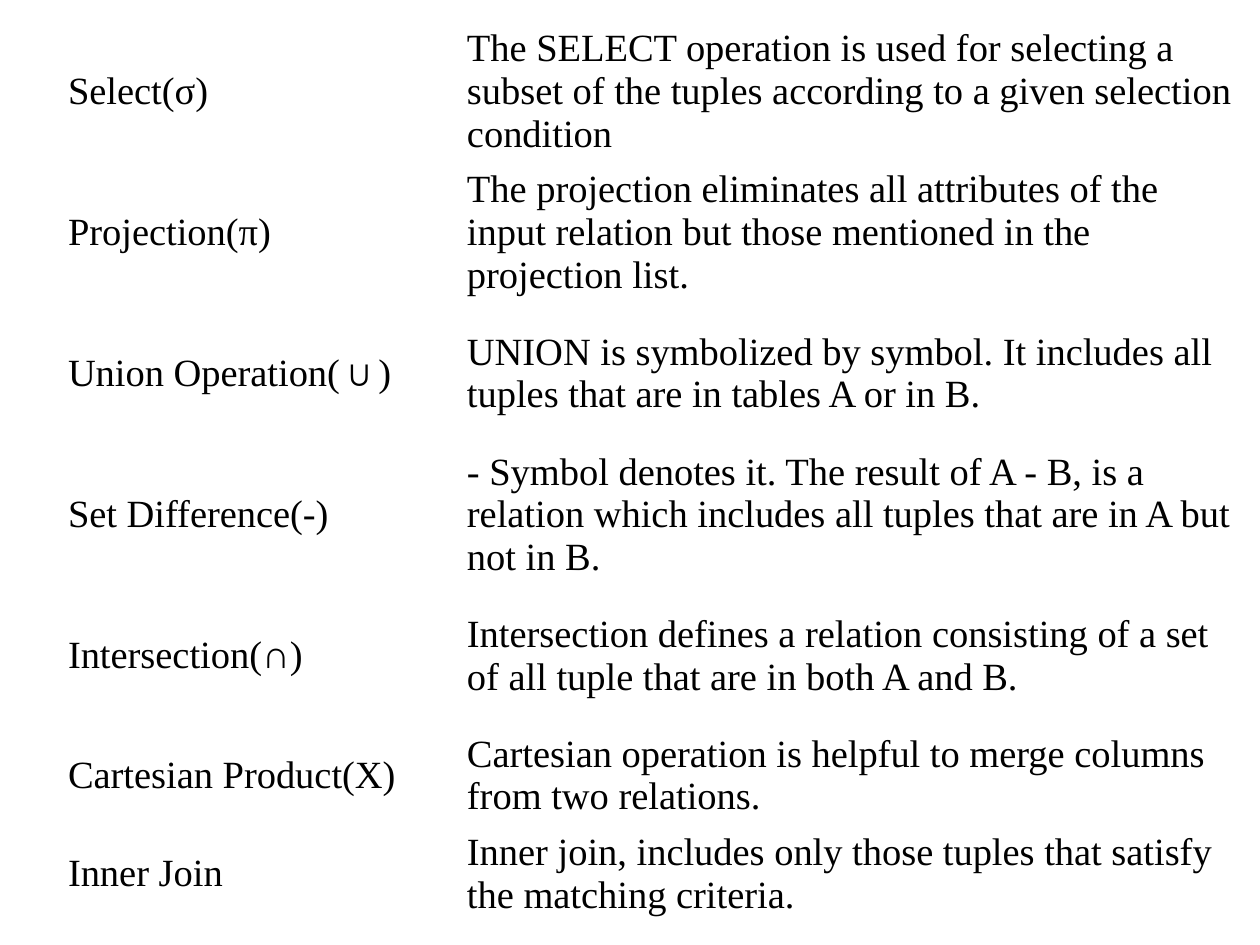
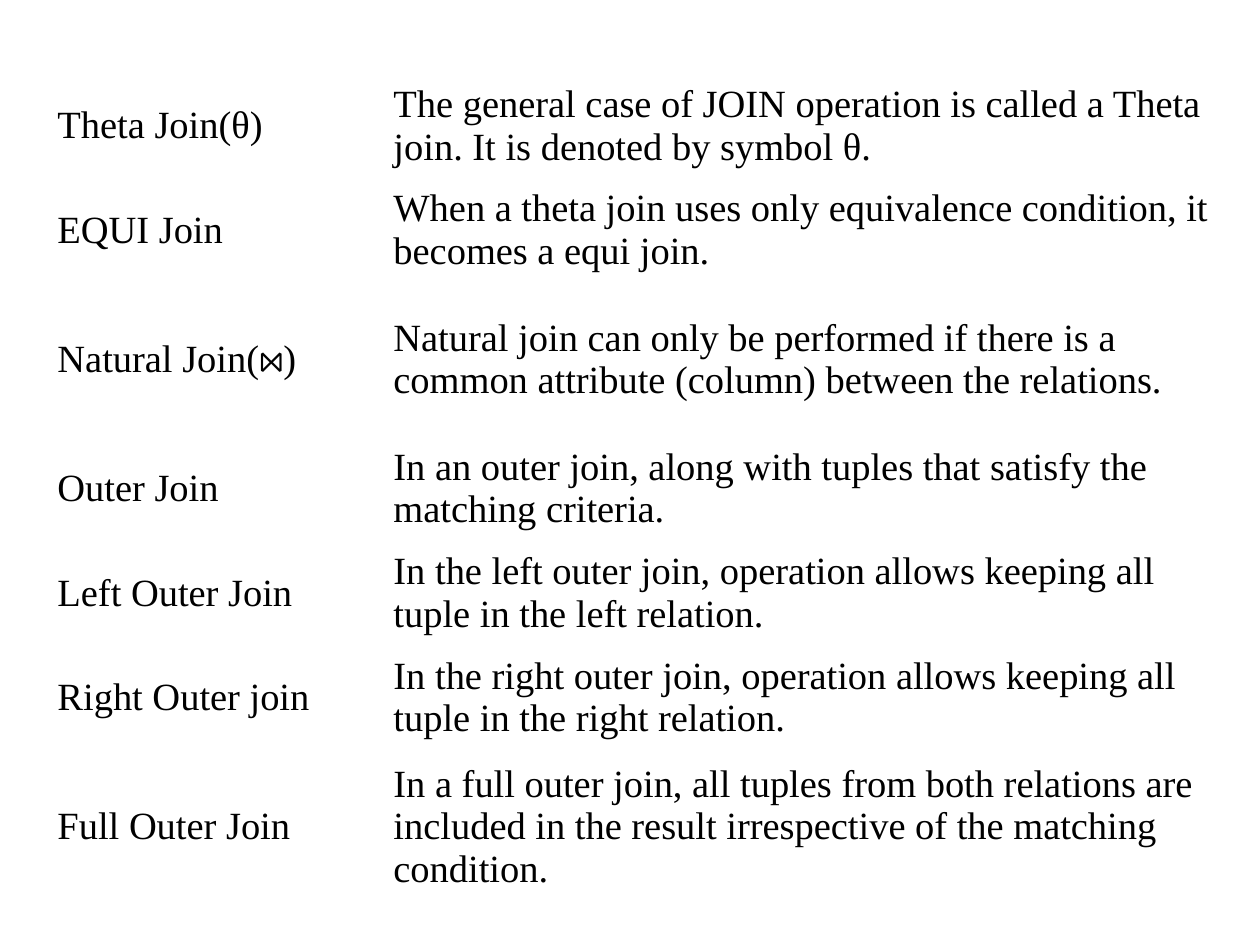
from pptx import Presentation
from pptx.dml.color import RGBColor
from pptx.enum.text import MSO_ANCHOR
from pptx.util import Inches, Pt

BLACK = RGBColor(0, 0, 0)
MIDDLE = MSO_ANCHOR.MIDDLE
FONT = "Times New Roman"
SIZE = Pt(22)
UNIT = Inches(1) // 12  # grid step: twelve columns to the inch
PAD_X, PAD_Y = Inches(0.04), Inches(0.02)

# Each row: name, meaning, height in inches
BASIC = [
    ("Select(σ)", "The SELECT operation is used for selecting a subset of the "
     "tuples according to a given selection condition", 1.12),
    ("Projection(π)", "The projection eliminates all attributes of the input "
     "relation but those mentioned in the projection list.", 1.12),
    ("Union Operation(∪)", "UNION is symbolized by symbol. It includes all "
     "tuples that are in tables A or in B.", 1.12),
    ("Set Difference(-)", "- Symbol denotes it. The result of A - B, is a "
     "relation which includes all tuples that are in A but not in B.", 1.12),
    ("Intersection(∩)", "Intersection defines a relation consisting of a set "
     "of all tuple that are in both A and B.", 1.12),
    ("Cartesian Product(X)", "Cartesian operation is helpful to merge columns "
     "from two relations.", 0.78),
    ("Inner Join", "Inner join, includes only those tuples that satisfy the "
     "matching criteria.", 0.78),
]
JOINS = [
    ("Theta Join(θ)", "The general case of JOIN operation is called a Theta "
     "join. It is denoted by symbol θ.", 0.83),
    ("EQUI Join", "When a theta join uses only equivalence condition, it "
     "becomes a equi join.", 0.83),
    ("Natural Join(⋈)", "Natural join can only be performed if there is a "
     "common attribute (column) between the relations.", 1.22),
    ("Outer Join", "In an outer join, along with tuples that satisfy the "
     "matching criteria.", 0.83),
    ("Left Outer Join", "In the left outer join, operation allows keeping all "
     "tuple in the left relation.", 0.83),
    ("Right Outer join", "In the right outer join, operation allows keeping "
     "all tuple in the right relation.", 0.83),
    ("Full Outer Join", "In a full outer join, all tuples from both relations "
     "are included in the result irrespective of the matching condition.", 1.22),
]

# Each slide: left, top and column widths in grid units, then rows
PAGES = [
    (6, 2, (38, 74), BASIC),
    (5, 7, (32, 79), JOINS),
]

deck = Presentation()
deck.slide_width, deck.slide_height = Inches(10), Inches(7.5)
blank = deck.slide_layouts[6]

for left, top, widths, rows in PAGES:
    slide = deck.slides.add_slide(blank)

    # Plain table without header or bands
    height = Inches(sum(row[2] for row in rows))
    table = slide.shapes.add_table(len(rows), len(widths), left * UNIT,
                                   top * UNIT, sum(widths) * UNIT, height).table
    table.first_row = table.horz_banding = False
    for col, width in zip(table.columns, widths):
        col.width = width * UNIT

    # Names and meanings
    for line, (name, sense, tall) in zip(table.rows, rows):
        line.height = Inches(tall)
        for cell, text in zip(line.cells, (name, sense)):
            cell.fill.background()
            cell.vertical_anchor = MIDDLE
            cell.margin_left = cell.margin_right = PAD_X
            cell.margin_top = cell.margin_bottom = PAD_Y
            cell.text = text
            font = cell.text_frame.paragraphs[0].font
            font.name, font.size = FONT, SIZE
            font.color.rgb = BLACK

deck.save("out.pptx")
